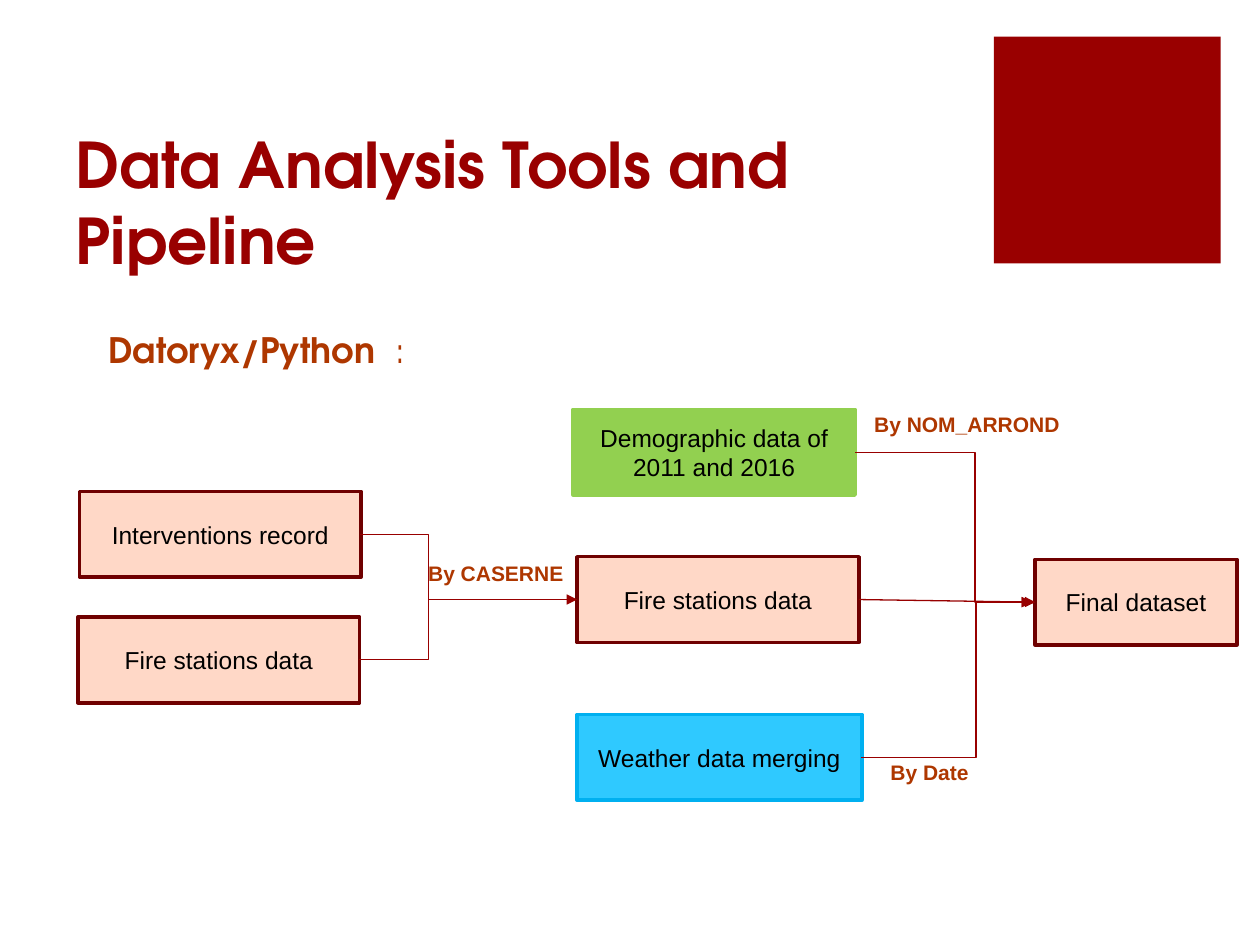
"""Build the data pipeline slide: title, tool heading and merge diagram."""
from lxml import etree
from pptx import Presentation
from pptx.dml.color import RGBColor
from pptx.enum import shapes, text
from pptx.oxml import ns
from pptx.util import Pt

COLOURS = {
    "title": "990000", "label": "AE3700", "black": "000000", "arrow": "980000",
    "peach": "FFD8C7", "maroon": "6F0000", "green": "92D050",
    "sky": "2FC9FF", "blue": "00B0F0",
}
HEADING_FONT = "TeX Gyre Adventor"
BOX_WIDTH, BOX_HEIGHT = 161, 49


def rgb(name):
    return RGBColor.from_string(COLOURS[name])


def set_font(font, face, size, colour, bold=False):
    font.name, font.size, font.bold = face, Pt(size), bold
    font.color.rgb = rgb(colour)


def place(placeholder, left, top, width, height, anchor):
    placeholder.left, placeholder.top = Pt(left), Pt(top)
    placeholder.width, placeholder.height = Pt(width), Pt(height)
    frame = placeholder.text_frame
    frame.auto_size = text.MSO_AUTO_SIZE.NONE
    frame.vertical_anchor = anchor
    return frame


def add_title(slide, wording):
    frame = place(slide.shapes.title, 36, 72, 512.6, 90, text.MSO_ANCHOR.BOTTOM)
    frame.text = wording
    heading = frame.paragraphs[0]
    heading.alignment = text.PP_ALIGN.LEFT
    set_font(heading.font, HEADING_FONT, 36, "title", True)


def add_tools(slide, tools):
    frame = place(slide.placeholders[1], 36.7, 184.3, 512.6, 309.6, text.MSO_ANCHOR.TOP)
    line = frame.paragraphs[0]
    line.space_before = Pt(18)
    set_font(line.font, HEADING_FONT, 20, "label")
    names = line.add_run()
    names.text, names.font.bold = tools, True
    line.add_run().text = "  :"
    properties = line._p.get_or_add_pPr()
    properties.set("marL", str(Pt(36)))
    properties.set("indent", str(Pt(-18)))
    bullet = etree.Element(ns.qn("a:buNone"))
    properties.find(ns.qn("a:defRPr")).addprevious(bullet)


def add_rectangle(slide, left, top, width, height, fill, outline=None):
    rectangle = slide.shapes.add_shape(
        shapes.MSO_SHAPE.RECTANGLE, Pt(left), Pt(top), Pt(width), Pt(height))
    rectangle.shadow.inherit = False
    rectangle.fill.solid()
    rectangle.fill.fore_color.rgb = rgb(fill)
    if outline:
        rectangle.line.color.rgb = rgb(outline)
        rectangle.line.width = Pt(2)
    else:
        rectangle.line.fill.background()
    return rectangle


def add_dataset(slide, wording, left, top, width=BOX_WIDTH, fill="peach", outline="maroon"):
    dataset = add_rectangle(slide, left, top, width, BOX_HEIGHT, fill, outline)
    frame = dataset.text_frame
    frame.word_wrap = True
    frame.vertical_anchor = text.MSO_ANCHOR.MIDDLE
    frame.text = wording
    frame.paragraphs[0].alignment = text.PP_ALIGN.CENTER
    set_font(frame.paragraphs[0].font, "Arial", 14, "black")
    return dataset


def add_flow(slide, start, end, bend=None, arrow=True):
    kind = shapes.MSO_CONNECTOR.STRAIGHT if bend is None else shapes.MSO_CONNECTOR.ELBOW
    flow = slide.shapes.add_connector(kind, *map(Pt, start + end))
    flow.line.color.rgb = rgb("arrow")
    flow.line.width = Pt(0.75)
    properties = flow._element.spPr
    if bend is not None:
        ratio = (bend - start[0]) / (end[0] - start[0])
        guides = properties.find(ns.qn("a:prstGeom")).get_or_add_avLst()
        etree.SubElement(guides, ns.qn("a:gd"), name="adj1", fmla=f"val {round(ratio * 100000)}")
    if arrow:
        etree.SubElement(flow.line._get_or_add_ln(), ns.qn("a:tailEnd"), type="triangle")
    etree.SubElement(properties, ns.qn("a:effectLst"))
    return flow


def add_key(slide, wording, left, top, width):
    label = slide.shapes.add_textbox(Pt(left), Pt(top), Pt(width), Pt(21.6))
    label.text_frame.word_wrap = True
    label.text_frame.text = wording
    set_font(label.text_frame.paragraphs[0].font, "Arial", 12, "label", True)


def main():
    deck = Presentation()
    deck.slide_width, deck.slide_height = Pt(720), Pt(540)
    slide = deck.slides.add_slide(deck.slide_layouts[1])

    add_rectangle(slide, 568, 21, 129.6, 129.6, "title")
    add_title(slide, "Data Analysis Tools and Pipeline")
    add_tools(slide, "Datoryx/Python")

    add_dataset(slide, "Interventions record", 45.4, 280.8)
    add_dataset(slide, "Fire stations data", 44.6, 352.6)
    add_dataset(slide, "Demographic data of 2011 and 2016", 327.6, 233.9,
                fill="green", outline="green")
    stations = add_dataset(slide, "Fire stations data", 329.8, 318.1)
    add_dataset(slide, "Weather data merging", 329.8, 408.3, 162.7, "sky", "blue")
    final = add_dataset(slide, "Final dataset", 591.6, 319.6, 115.2)

    caserne_merge, final_merge = (329.8, 342.6), (589.7, 344.1)
    add_flow(slide, (206, 305.3), caserne_merge, 244.8)
    add_flow(slide, (205.4, 376.9), caserne_merge, 244.8, arrow=False)
    add_flow(slide, (488.8, 258.5), final_merge, 557.2)
    add_flow(slide, (492, 432.8), final_merge, 557.8)
    direct = add_flow(slide, (490.8, 342.6), (591.6, 344.1))
    direct.begin_connect(stations, 3)
    direct.end_connect(final, 1)

    add_key(slide, "By CASERNE", 237.6, 316.8, 96.5)
    add_key(slide, "By NOM_ARROND", 492.5, 231.8, 126.7)
    add_key(slide, "By Date", 501.8, 430.6, 61.9)
    deck.save("out.pptx")


if __name__ == "__main__":
    main()
